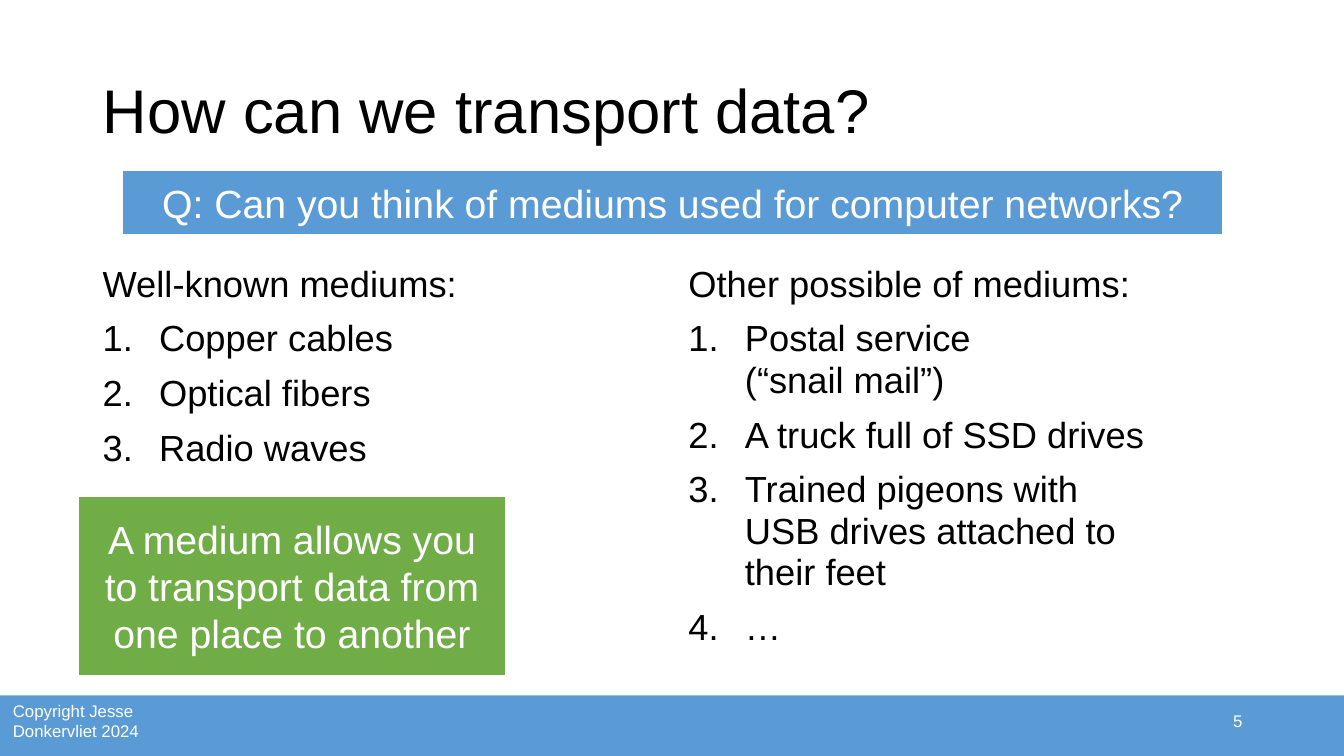
from pptx import Presentation
from pptx.dml.color import RGBColor
from pptx.enum.shapes import MSO_SHAPE
from pptx.enum.text import MSO_ANCHOR, PP_ALIGN
from pptx.oxml.xmlchemy import OxmlElement
from pptx.util import Inches, Pt

BLUE = RGBColor(0x5B, 0x9B, 0xD5)
GREEN = RGBColor(0x70, 0xAD, 0x47)
WHITE = RGBColor(0xFF, 0xFF, 0xFF)
BLACK = RGBColor(0, 0, 0)
WIDTH, HEIGHT = 13.33, 7.5
LEFT_MARGIN = 0.92
FOOTER_TOP = 6.9

deck = Presentation()
deck.slide_width, deck.slide_height = Inches(WIDTH), Inches(HEIGHT)
page = deck.slides.add_slide(deck.slide_layouts[5])


def write(box, lines, size, color, anchor=MSO_ANCHOR.MIDDLE, **para_format):
    """Fill a shape with paragraphs that share one format."""
    frame = box.text_frame
    frame.word_wrap = True
    frame.vertical_anchor = anchor
    frame.text = "\n".join(lines)
    for para in frame.paragraphs:
        for name, value in para_format.items():
            setattr(para, name, value)
        for span in para.runs:
            for name, value in {"name": "Arial", "size": Pt(size)}.items():
                setattr(span.font, name, value)
            span.font.color.rgb = color
    return frame


def add_panel(left, top, width, height, color):
    """Add a flat filled rectangle with a white outline."""
    panel = page.shapes.add_shape(
        MSO_SHAPE.RECTANGLE, *map(Inches, (left, top, width, height)))
    panel.shadow.inherit = False
    panel.fill.solid()
    panel.fill.fore_color.rgb = color
    panel.line.color.rgb = WHITE
    panel.line.width = Pt(1.5)
    return panel


# Footer bar with copyright and page number
bar = add_panel(0, FOOTER_TOP, WIDTH, HEIGHT - FOOTER_TOP, BLUE)
bar.line.fill.background()
for text, area, align in [
    ("Copyright Jesse Donkervliet 2024", (0.03, 6.92, 1.47, 0.47), PP_ALIGN.LEFT),
    ("5", (9.42, 6.95, 3, 0.4), PP_ALIGN.RIGHT),
]:
    box = page.shapes.add_textbox(*map(Inches, area))
    write(box, [text], 12, WHITE, alignment=align)

# Title
title = page.shapes.title
title_area = {"left": LEFT_MARGIN, "top": 0.4, "width": 11.5, "height": 1.45}
for name, value in title_area.items():
    setattr(title, name, Inches(value))
write(title, ["How can we transport data?"], 44, BLACK,
      alignment=PP_ALIGN.LEFT, line_spacing=0.9)

# Two columns: a heading followed by a numbered list
columns = [
    (LEFT_MARGIN, 5.67, ["Well-known mediums:", "Copper cables",
                         "Optical fibers", "Radio waves"]),
    (6.73, 4.75, ["Other possible of mediums:",
                  "Postal service\v(“snail mail”)",
                  "A truck full of SSD drives",
                  "Trained pigeons with USB drives attached to their feet",
                  "…"]),
]
for left, width, lines in columns:
    box = page.shapes.add_textbox(*map(Inches, (left, 2.57, width, 4.19)))
    frame = write(box, lines, 25.9, BLACK, MSO_ANCHOR.TOP,
                  line_spacing=0.95, space_before=Pt(9.6))
    frame.paragraphs[0].space_before = Pt(0)
    for para in frame.paragraphs[1:]:
        properties = para._p.get_or_add_pPr()
        properties.set("marL", str(Inches(0.56)))
        properties.set("indent", str(-Inches(0.56)))
        number = OxmlElement("a:buAutoNum")
        number.set("type", "arabicPeriod")
        properties.append(number)

# Question banner and definition panel
for text, area, color in [
    ("Q: Can you think of mediums used for computer networks?",
     (1.21, 1.69, 10.92, 0.64), BLUE),
    ("A medium allows you to transport data from one place to another",
     (0.77, 4.92, 4.25, 1.79), GREEN),
]:
    write(add_panel(*area, color), [text], 28, WHITE, alignment=PP_ALIGN.CENTER)

deck.save("out.pptx")
